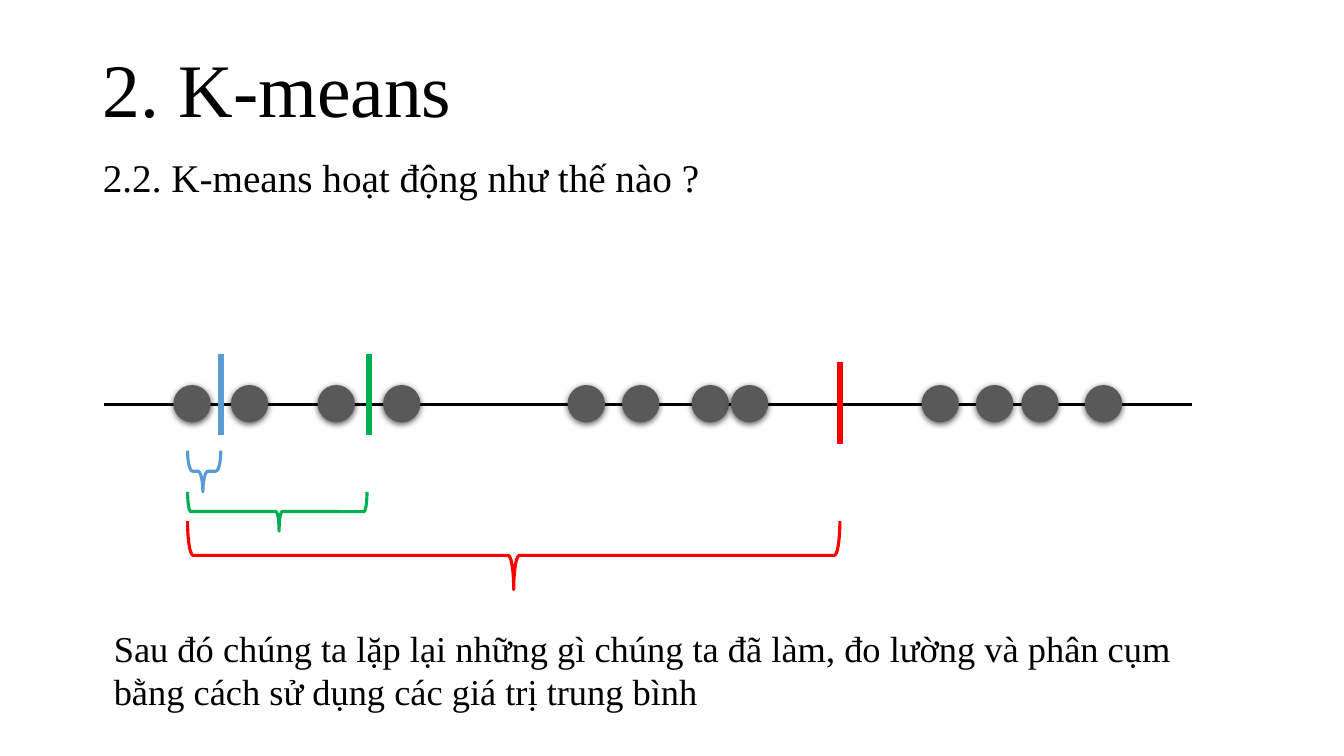
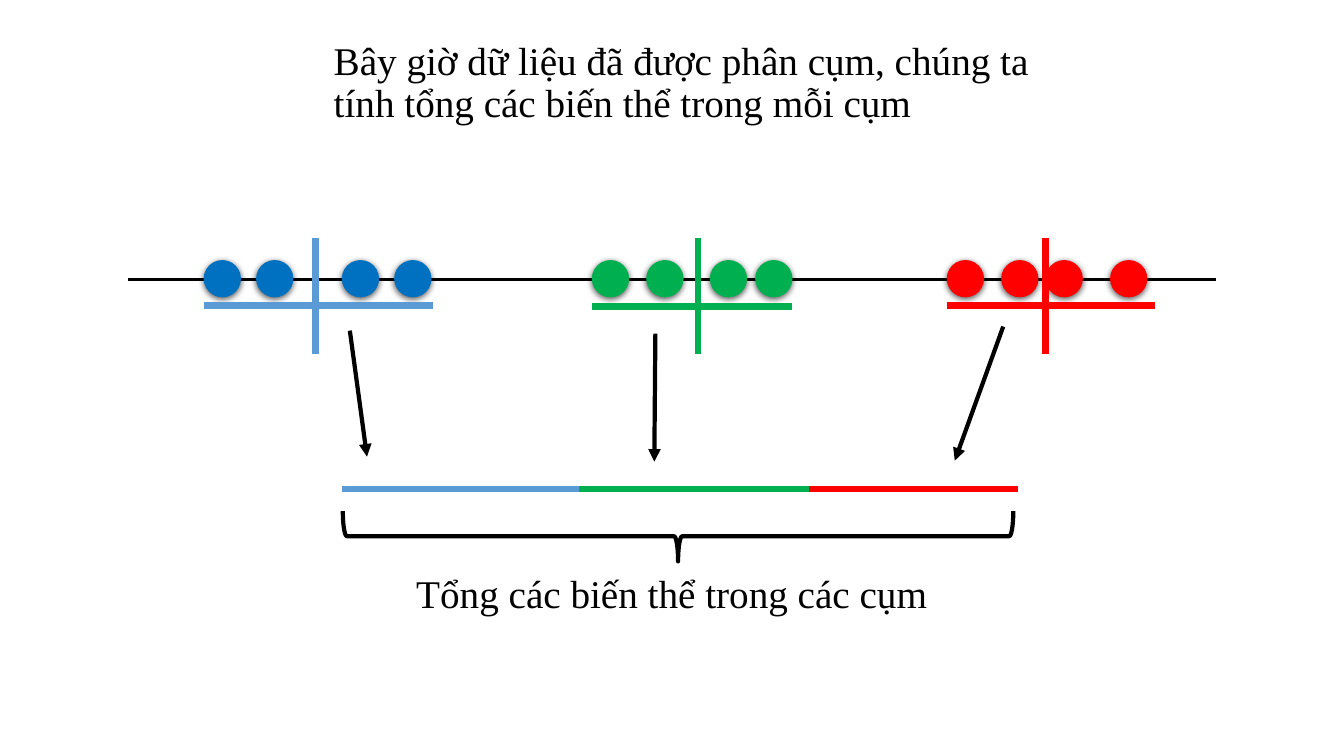
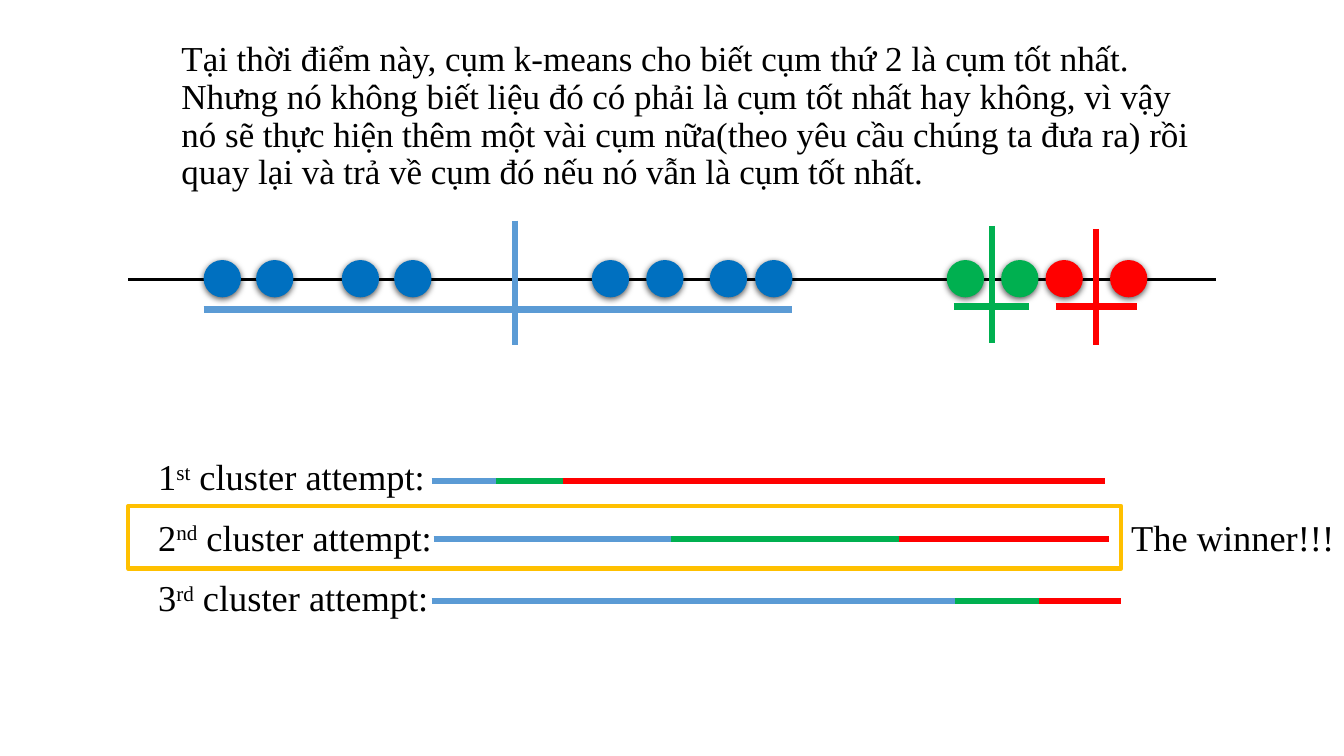
import pptx
import pptx.util
import pptx.dml.color
import pptx.enum.shapes
import pptx.enum.text
import pptx.oxml
import pptx.oxml.ns

PX = 9144  # EMU per px, 100 px to the inch
FONT = "Times New Roman"
BLACK, GREY, GOLD = "000000", "595959", "FFC000"
SKY, BLUE, GREEN, RED = "5B9BD5", "0070C0", "00B050", "FF0000"
CLUSTERS = (SKY, GREEN, RED)

AXIS_WIDTH, DOT = 1079, 37
DOTS_MEASURED = (69, 126, 212, 277, 460, 514, 583, 622, 811, 865, 910, 973)
DOTS_CLUSTERED = (75, 127, 212, 264, 460, 514, 577, 622, 812, 866, 910, 974)

SHAPES = pptx.enum.shapes.MSO_SHAPE
TEXT = pptx.enum.text
DOT_SHADOW = (
    '<a:effectLst %s><a:outerShdw blurRad="57150" dist="19050" dir="5400000" '
    'algn="ctr" rotWithShape="0"><a:srgbClr val="000000"><a:alpha val="63000"/>'
    "</a:srgbClr></a:outerShdw></a:effectLst>"
) % pptx.oxml.ns.nsdecls("a")


# Basic helpers
def px(*lengths):
    return [pptx.util.Emu(round(n * PX)) for n in lengths]


def rgb(colour):
    return pptx.dml.color.RGBColor.from_string(colour)


def xml(tag, attributes=""):
    return pptx.oxml.parse_xml(
        f'<a:{tag} {pptx.oxml.ns.nsdecls("a")} {attributes}/>')


def set_line(sp, colour, width):
    sp.line.color.rgb = rgb(colour)
    sp.line.width = pptx.util.Pt(width)


def add_line(slide, x1, y1, x2, y2, colour, width=4.5, arrow=False):
    line = slide.shapes.add_connector(
        pptx.enum.shapes.MSO_CONNECTOR.STRAIGHT, *px(x1, y1, x2, y2))
    set_line(line, colour, width)
    if arrow:
        line.line._get_or_add_ln().append(xml("tailEnd", 'type="triangle"'))
    line._element.spPr.append(xml("effectLst"))


def add_brace(slide, x, y, w, h, colour, width=2.25, curve=0.08, tip=0.5):
    """Downward brace; tip is measured from the right end."""
    sp = slide.shapes.add_shape(
        SHAPES.RIGHT_BRACE, *px(x + (w - h) / 2, y + (h - w) / 2, h, w))
    sp.rotation = 90
    sp.adjustments[0], sp.adjustments[1] = curve, tip
    sp.shadow.inherit = False
    sp.fill.background()
    set_line(sp, colour, width)


# Text
def set_text(sp, box, size, *parts, spacing=0.9, before=10,
             anchor=TEXT.MSO_ANCHOR.TOP):
    sp.left, sp.top, sp.width, sp.height = px(*box)
    tf = sp.text_frame
    tf.word_wrap = True
    tf.auto_size = TEXT.MSO_AUTO_SIZE.NONE
    tf.vertical_anchor = anchor
    p = tf.paragraphs[0]
    p.text = parts[0]
    for part in parts[1:]:
        p.add_run().text = part
    p.alignment = TEXT.PP_ALIGN.LEFT
    p.line_spacing = spacing
    p.space_before = pptx.util.Pt(before)
    for r in p.runs:
        r.font.name = FONT
        r.font.size = pptx.util.Pt(size)
        r.font.color.rgb = rgb(BLACK)
    return p


def add_text(slide, box, size, *parts, **style):
    return set_text(slide.shapes.add_textbox(*px(*box)), box, size, *parts, **style)


def add_slide(prs, body, box, size, title=None):
    slide = prs.slides.add_slide(prs.slide_layouts[1])
    heading = slide.shapes.title
    if title:
        set_text(heading, (92, 0, 1150, 185), 54, title, before=0,
                 anchor=TEXT.MSO_ANCHOR.MIDDLE)
    else:
        heading._element.getparent().remove(heading._element)
    p = set_text(slide.placeholders[1], box, size, body)
    pPr = p._p.get_or_add_pPr()
    pPr.set("marL", "0")
    pPr.set("indent", "0")
    pPr.append(xml("buNone"))
    return slide


# Regions
def number_line(slide, x, y, offsets, colours):
    add_line(slide, x, y, x + AXIS_WIDTH, y, BLACK, 2.25)
    for offset, colour in zip(offsets, colours):
        sp = slide.shapes.add_shape(
            SHAPES.FLOWCHART_CONNECTOR, *px(x + offset, y - 19, DOT, DOT))
        sp.fill.solid()
        sp.fill.fore_color.rgb = rgb(colour)
        sp.line.fill.background()
        sp._element.spPr.append(pptx.oxml.parse_xml(DOT_SHADOW))


def mean_ticks(slide, x, y, ticks):
    """Ticks are (offset, top, bottom) from the start of the axis."""
    for colour, (offset, top, bottom) in zip(CLUSTERS, ticks):
        add_line(slide, x + offset, y + top, x + offset, y + bottom, colour)


def cluster_spans(slide, x, y, spans):
    """Spans are (left, right, drop) from the start of the axis."""
    for colour, (left, right, drop) in zip(CLUSTERS, spans):
        add_line(slide, x + left, y + drop, x + right, y + drop, colour)


def variation_bar(slide, x, y, lengths):
    for colour, length in zip(CLUSTERS, lengths):
        add_line(slide, x, y, x + length, y, colour)
        x += length


def attempt_row(slide, x, y, number, suffix, bar_x, bar_y, lengths):
    p = add_text(slide, (x, y, 345, 45), 26, number, suffix, " cluster attempt:")
    p.runs[1]._r.get_or_add_rPr().set("baseline", "30000")
    variation_bar(slide, x + bar_x, y + bar_y, lengths)


# Slides
def measuring_slide(prs):
    slide = add_slide(prs, "2.2. K-means hoạt động như thế nào ?",
                      (92, 152, 1150, 523), 28, title="2. K-means")
    x, y = 103, 401
    number_line(slide, x, y, DOTS_MEASURED, [GREY] * 12)
    mean_ticks(slide, x, y, [(116, -50, 31), (263, -50, 31), (730, -42, 39)])

    # Distances from the first dot to each mean
    add_brace(slide, 186, 447, 33, 41, SKY, curve=0.15, tip=0.54)
    add_brace(slide, 186, 488, 178, 39, GREEN, tip=0.49)
    add_brace(slide, 186, 517, 647, 68, RED)
    add_text(slide, (103, 616, 1079, 97), 26,
             "Sau đó chúng ta lặp lại những gì chúng ta đã làm, đo lường và "
             "phân cụm bằng cách sử dụng các giá trị trung bình",
             spacing=1.0, before=0)


def variation_slide(prs):
    slide = add_slide(prs, "Bây giờ dữ liệu đã được phân cụm, chúng ta tính tổng "
                      "các biến thể trong mỗi cụm", (321, 36, 743, 171), 28)
    x, y = 127, 277
    number_line(slide, x, y, DOTS_CLUSTERED, [BLUE] * 4 + [GREEN] * 4 + [RED] * 4)
    mean_ticks(slide, x, y, [(n, -41, 74) for n in (186, 565, 910)])
    cluster_spans(slide, x, y, [(75, 302, 26), (460, 659, 27), (812, 1019, 26)])

    # Sum of the three variations
    for arrow in ((347, 328, 364, 453), (650, 331, 649, 458), (995, 324, 947, 457)):
        add_line(slide, *arrow, BLACK, 3, arrow=True)
    variation_bar(slide, 339, 485, (235, 228, 208))
    add_brace(slide, 340, 507, 665, 50, BLACK, 3)
    add_text(slide, (403, 565, 572, 71), 28, "Tổng các biến thể trong các cụm")


def winner_slide(prs):
    slide = add_slide(
        prs, "Tại thời điểm này, cụm k-means cho biết cụm thứ 2 là cụm tốt nhất. "
        "Nhưng nó không biết liệu đó có phải là cụm tốt nhất hay không, vì vậy nó "
        "sẽ thực hiện thêm một vài cụm nữa(theo yêu cầu chúng ta đưa ra) rồi quay "
        "lại và trả về cụm đó nếu nó vẫn là cụm tốt nhất.", (170, 36, 1036, 183), 25)
    x, y = 127, 277
    number_line(slide, x, y, DOTS_CLUSTERED, [BLUE] * 8 + [GREEN] * 2 + [RED] * 2)
    mean_ticks(slide, x, y, [(384, -58, 65), (857, -53, 63), (960, -50, 65)])
    cluster_spans(slide, x, y, [(75, 659, 30), (819, 894, 27), (920, 1001, 27)])

    # Attempts, with the best one framed
    attempts = (
        ("1", "st", 281, 26, (64, 66, 538)),
        ("2", "nd", 283, 24, (236, 226, 208)),
        ("3", "rd", 281, 25, (519, 84, 81)),
    )
    for i, attempt in enumerate(attempts):
        attempt_row(slide, 147, 451 + 60 * i, *attempt)
    frame = slide.shapes.add_shape(SHAPES.RECTANGLE, *px(127, 502, 985, 62))
    frame.shadow.inherit = False
    frame.fill.background()
    set_line(frame, GOLD, 3)
    add_text(slide, (1112, 511, 254, 39), 26, "The winner!!!")


def main():
    prs = pptx.Presentation()
    prs.slide_width, prs.slide_height = px(1333, 750)
    measuring_slide(prs)
    variation_slide(prs)
    winner_slide(prs)
    prs.save("out.pptx")


if __name__ == "__main__":
    main()
